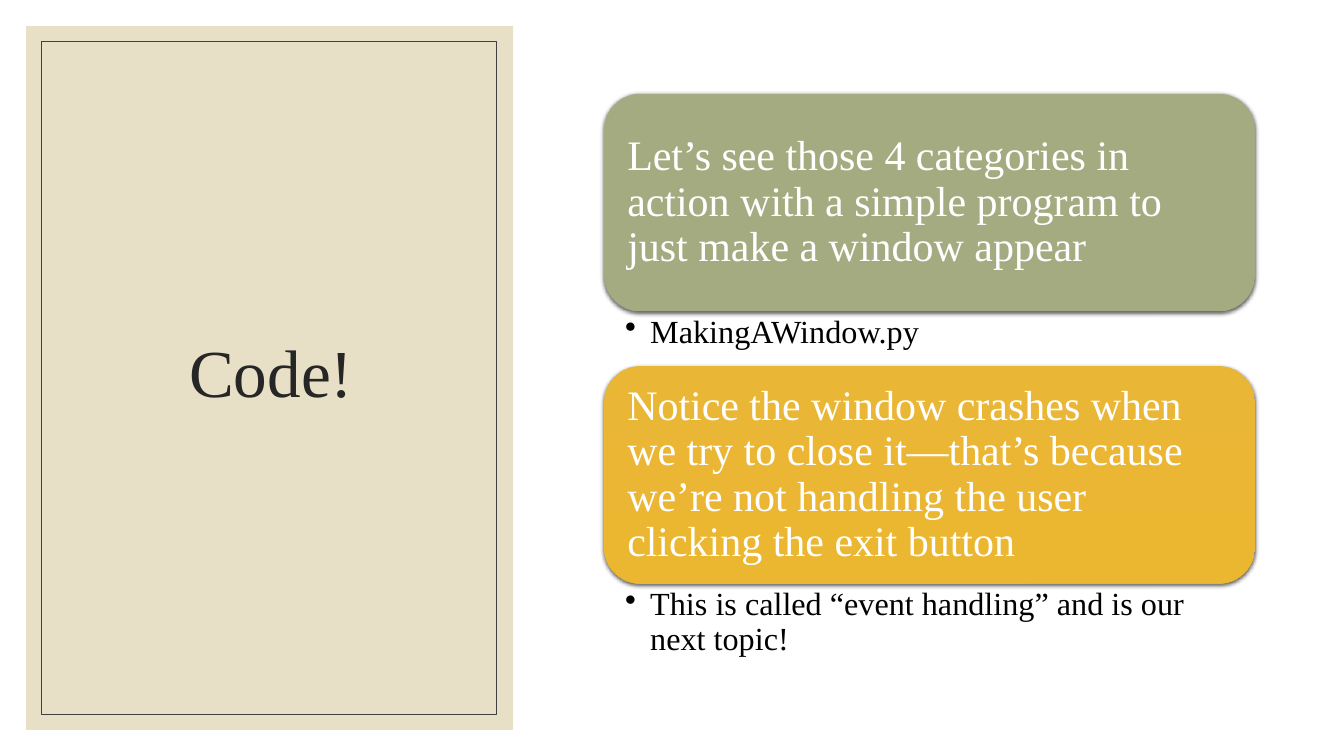
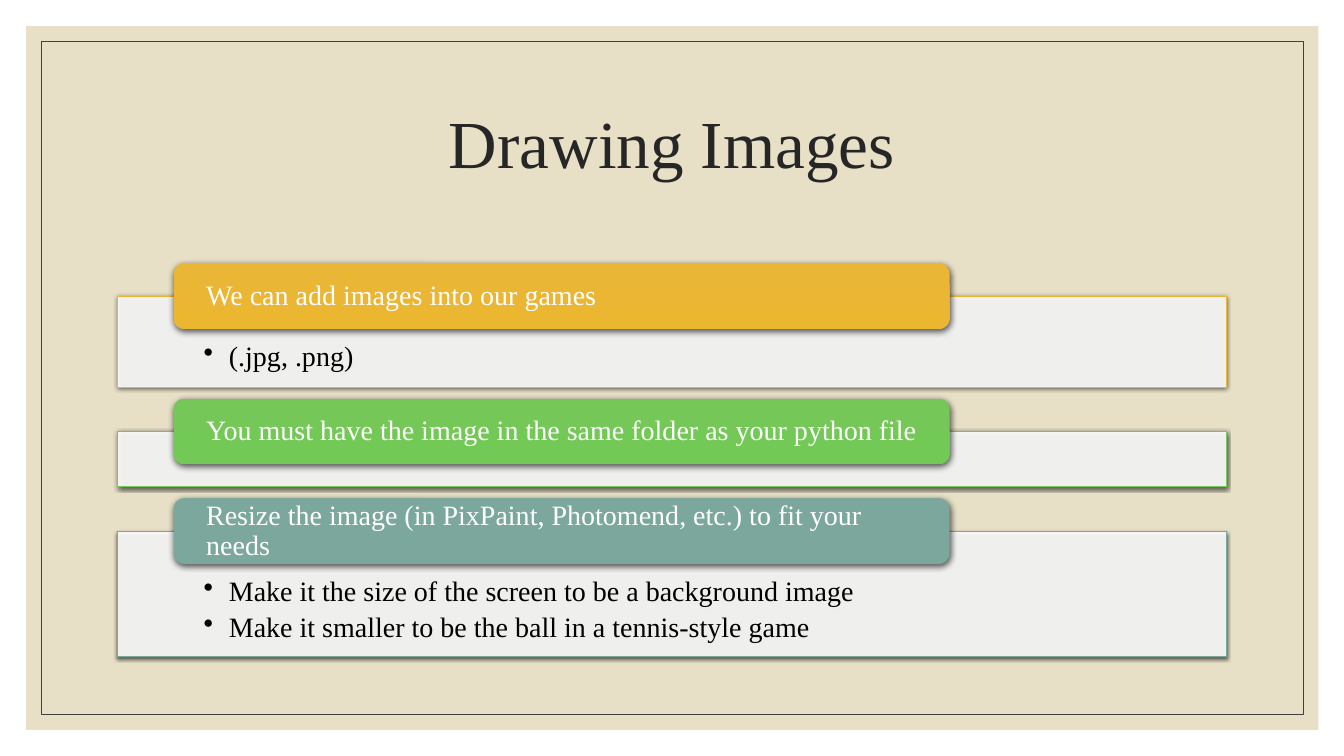
from dataclasses import dataclass
from typing import Any

from lxml import etree
from pptx import Presentation
from pptx import util as u
from pptx.dml import color
from pptx.enum import shapes, text
from pptx.oxml import ns


@dataclass(frozen=True)
class Theme:
    font: str = "Times New Roman"
    sand: str = "E7E0C7"
    rule: str = "404040"
    heading: str = "262626"
    ink: str = "000000"
    white: str = "FFFFFF"
    olive: tuple = ("A5AB81", "A4AB7F")
    gold: tuple = ("E9B635", "EBB630")
    green: tuple = ("75C858", "72C955")
    teal: tuple = ("7BA79D", "79A79C")
    title_size: int = 48
    card_size: int = 30
    note_size: int = 23
    text_size: int = 20


def rgb(value):
    return color.RGBColor.from_string(value)


def points(*values):
    return [u.Pt(value) for value in values]


def add_alpha(parent, percent):
    etree.SubElement(parent, ns.qn("a:alpha"), val=str(percent * 1000))


def add_shadow(shape, blur, distance):
    """Drop a soft black shadow straight down; call after the line is set."""
    effects = shape.element.spPr.find(ns.qn("a:effectLst"))
    shadow = etree.SubElement(
        effects, ns.qn("a:outerShdw"), blurRad=str(u.Pt(blur)),
        dist=str(u.Pt(distance)), dir="5400000", algn="ctr", rotWithShape="0")
    black = etree.SubElement(shadow, ns.qn("a:srgbClr"), val="000000")
    add_alpha(black, 63)


def add_bullet(para):
    properties = para._p.get_or_add_pPr()
    properties.set("marL", str(u.Pt(18)))
    properties.set("indent", str(u.Pt(-18)))
    etree.SubElement(properties, ns.qn("a:buChar"), char="•")


@dataclass
class Deck:
    theme: Theme
    show: Any
    page: Any = None

    def new_page(self, title, title_box, panel_width, border_width):
        """Start a page with its sand panel, thin border and title."""
        self.page = self.show.slides.add_slide(self.show.slide_layouts[5])
        rectangle = shapes.MSO_SHAPE.RECTANGLE
        panel = self.shape(rectangle, (18.7, 18.7, panel_width, 502.6))
        panel.fill.solid()
        panel.fill.fore_color.rgb = rgb(self.theme.sand)
        border = self.shape(rectangle, (29.5, 29.5, border_width, 481), self.theme.rule)
        border.fill.background()

        heading = self.page.shapes.title
        heading.left, heading.top, heading.width, heading.height = points(*title_box)
        heading.element.getparent().append(heading.element)
        self.set_text(heading, [title], self.theme.title_size, self.theme.heading,
                      (7.2, 3.6, 7.2, 3.6), align=text.PP_ALIGN.CENTER)

    def shape(self, kind, box, line=None):
        shape = self.page.shapes.add_shape(kind, *points(*box))
        shape.shadow.inherit = False
        if line:
            shape.line.color.rgb = rgb(line)
            shape.line.width = u.Pt(0.5)
        else:
            shape.line.fill.background()
        return shape

    def set_text(self, box, lines, size, ink, margins, bullets=False,
                 align=text.PP_ALIGN.LEFT):
        frame = box.text_frame
        frame.word_wrap = True
        frame.auto_size = text.MSO_AUTO_SIZE.NONE
        frame.vertical_anchor = (text.MSO_ANCHOR.TOP if bullets
                                 else text.MSO_ANCHOR.MIDDLE)
        (frame.margin_left, frame.margin_top,
         frame.margin_right, frame.margin_bottom) = points(*margins)
        for index, line in enumerate(lines):
            para = frame.add_paragraph() if index else frame.paragraphs[0]
            para.alignment = align
            para.line_spacing = 0.9
            if index:
                para.space_before = u.Pt(3.5)
            if bullets:
                add_bullet(para)
            span = para.add_run()
            span.text = line
            span.font.name = self.theme.font
            span.font.size = u.Pt(size)
            span.font.color.rgb = rgb(ink)

    def card(self, box, words, colours, size, margins, shadow):
        """Add a rounded gradient box with white words."""
        card = self.shape(shapes.MSO_SHAPE.ROUNDED_RECTANGLE, box)
        card.fill.gradient()
        card.fill.gradient_angle = 270
        for stop, colour in zip(card.fill.gradient_stops, colours):
            stop.color.rgb = rgb(colour)
        add_shadow(card, *shadow)
        self.set_text(card, [words], size, self.theme.white, margins)

    def note(self, box, words):
        note = self.page.shapes.add_textbox(*points(*box))
        self.set_text(note, [words], self.theme.note_size, self.theme.ink,
                      (15, 3, 16.5, 3), bullets=True)

    def panel(self, box, lines, outline):
        """Add a translucent white box holding a bullet list."""
        panel = self.shape(shapes.MSO_SHAPE.RECTANGLE, box, outline)
        panel.fill.solid()
        panel.fill.fore_color.rgb = rgb(self.theme.white)
        fill = panel.element.spPr.find(ns.qn("a:solidFill"))
        add_alpha(fill.find(ns.qn("a:srgbClr")), 90)
        add_shadow(panel, 3, 1)
        if lines:
            self.set_text(panel, lines, self.theme.text_size, self.theme.ink,
                          (61.5, 33.3, 61.5, 11.5), bullets=True)


def code_page(deck):
    theme = deck.theme
    deck.new_page("Code!", (45.5, 44, 296.5, 449), 347.8, 324.7)
    left, top, width, card_height = 431.5, 67, 465, 155.5
    steps = [
        ("Let’s see those 4 categories in action with a simple program to just "
         "make a window appear", theme.olive, "MakingAWindow.py", 39),
        ("Notice the window crashes when we try to close it—that’s because we’re "
         "not handling the user clicking the exit button", theme.gold,
         "This is called “event handling” and is our next topic!", 54),
    ]
    for words, colours, note, note_height in steps:
        deck.card((left, top, width, card_height), words, colours,
                  theme.card_size, (9, 9, 9, 9), (3, 1))
        top += card_height
        deck.note((left, top, width, note_height), note)
        top += note_height


def images_page(deck):
    theme = deck.theme
    deck.new_page("Drawing Images", (84, 50.5, 792, 108), 923, 901.5)
    left, top, width, gap = 84, 211.5, 792, 31.7
    tab_height = 47
    sections = [
        ("We can add images into our games", theme.gold, 65, ["(.jpg, .png)"]),
        ("You must have the image in the same folder as your python file",
         theme.green, 39.5, []),
        ("Resize the image (in PixPaint, Photomend, etc.) to fit your needs",
         theme.teal, 89.5,
         ["Make it the size of the screen to be a background image",
          "Make it smaller to be the ball in a tennis-style game"]),
    ]
    for words, colours, height, lines in sections:
        deck.panel((left, top, width, height), lines, colours[0])
        deck.card((left + 40, top - tab_height / 2, width * 0.7, tab_height),
                  words, colours, theme.text_size, (21, 0, 21, 0), (4.5, 1.5))
        top += height + gap


def main():
    show = Presentation()
    show.slide_width, show.slide_height = points(960, 540)
    deck = Deck(Theme(), show)
    code_page(deck)
    images_page(deck)
    show.save("out.pptx")


if __name__ == "__main__":
    main()
